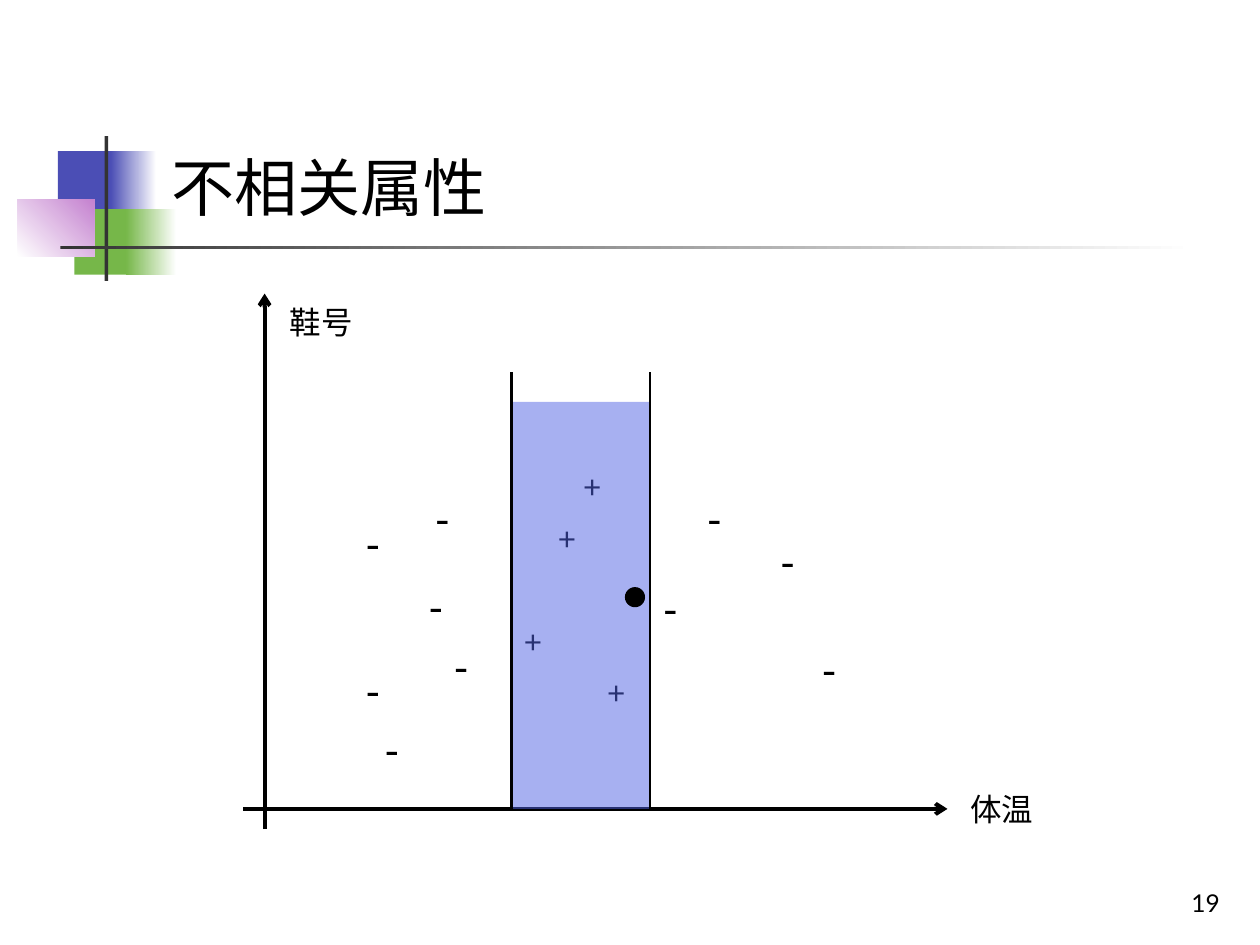
from lxml import etree
from pptx import Presentation
from pptx.dml.color import RGBColor
from pptx.enum import shapes, text
from pptx.oxml import ns
from pptx.util import Inches, Pt

BLACK, WHITE, GREY = "000000", "FFFFFF", "333333"
BLUE, GREEN, PURPLE, BAND = "4B4EB5", "76B749", "C481CF", "5062E4"
AXIS_Y, BAND_LEFT, BAND_RIGHT = 6.42, 4.06, 5.16

POSITIVES = [(4.53, 3.66), (4.72, 5.29), (4.33, 4.07), (4.06, 4.89)]
NEGATIVES = [
    (2.8, 4.07), (5.51, 3.87), (6.42, 5.07), (3.3, 4.57), (3.5, 5.04),
    (6.09, 4.21), (2.8, 5.23), (2.95, 5.7), (3.35, 3.87), (5.16, 4.58),
]
DECORATION = [
    ((0.46, 1.2, 0.48, 0.52), (BLUE,), 0),
    ((0.88, 1.2, 0.36, 0.52), (BLUE, WHITE), 0),
    ((0.59, 1.66, 0.46, 0.52), (GREEN,), 0),
    ((1, 1.66, 0.4, 0.52), (GREEN, WHITE), 0),
    ((0.14, 1.58, 0.61, 0.46), (WHITE, PURPLE), 45),
    ((0.83, 1.08, 0.03, 1.15), (GREY,), 0),
    ((0.48, 1.95, 9, 0.03), (GREY, WHITE), 0),
]


def rgb(value):
    """Turn a hex string into a colour."""
    return RGBColor.from_string(value)


def add_sub(parent, tag, **attributes):
    """Append a DrawingML child element."""
    return etree.SubElement(parent, ns.qn(tag), attributes)


def write(frame, words, size=18, font="Lato", color=BLACK,
          align=text.PP_ALIGN.LEFT, anchor=text.MSO_ANCHOR.TOP):
    """Write one formatted paragraph into a text frame."""
    frame.word_wrap = True
    frame.vertical_anchor = anchor
    paragraph = frame.paragraphs[0]
    paragraph.alignment = align
    run = paragraph.add_run()
    run.text = words
    run.font.size = Pt(size)
    run.font.name = font
    run.font.color.rgb = rgb(color)


def add_label(slide, box, words, grow=True, **style):
    """Add a text box with one label."""
    frame = slide.shapes.add_textbox(*map(Inches, box)).text_frame
    write(frame, words, **style)
    if grow:
        frame.auto_size = text.MSO_AUTO_SIZE.SHAPE_TO_FIT_TEXT


def add_block(slide, box, colors, angle=0, opacity=100,
              kind=shapes.MSO_SHAPE.RECTANGLE):
    """Add a borderless shape with a plain or two-colour gradient fill."""
    block = slide.shapes.add_shape(kind, *map(Inches, box))
    block.shadow.inherit = False
    block.line.fill.background()
    if len(colors) == 1:
        block.fill.solid()
        block.fill.fore_color.rgb = rgb(colors[0])
    else:
        block.fill.gradient()
        block.fill.gradient_angle = angle
        for stop, color in zip(block.fill.gradient_stops, colors):
            stop.color.rgb = rgb(color)
    if opacity < 100:
        color_node = next(block.element.spPr.iter(ns.qn("a:srgbClr")))
        add_sub(color_node, "a:alpha", val=str(opacity * 1000))


def add_line(slide, start, end, width, arrow=False):
    """Add a black straight line, with an arrowhead at its end if asked."""
    line = slide.shapes.add_connector(
        shapes.MSO_CONNECTOR.STRAIGHT, *map(Inches, start + end))
    line.line.color.rgb = rgb(BLACK)
    line.line.width = Pt(width)
    if arrow:
        add_sub(line.line._get_or_add_ln(), "a:tailEnd", type="arrow")
    add_sub(line.element.spPr, "a:effectLst")


def add_title(slide, box, words):
    """Place the title in front of the decoration."""
    title = slide.shapes.title
    title.left, title.top, title.width, title.height = map(Inches, box)
    write(title.text_frame, words, size=36, anchor=text.MSO_ANCHOR.BOTTOM)
    title.element.getparent().append(title.element)


def main():
    """Build the slide on irrelevant attributes."""
    deck = Presentation()
    deck.slide_width, deck.slide_height = Inches(10), Inches(7.5)
    slide = deck.slides.add_slide(deck.slide_layouts[5])

    for box, colors, angle in DECORATION:
        add_block(slide, box, colors, angle)
    add_label(slide, (7.7, 6.83, 2.08, 0.5), "19", grow=False, size=14,
              align=text.PP_ALIGN.RIGHT, anchor=text.MSO_ANCHOR.BOTTOM)
    add_title(slide, (1.26, 0.23, 8.52, 1.6), "不相关属性")

    add_line(slide, (1.93, AXIS_Y), (7.52, AXIS_Y), 2.25, arrow=True)
    add_line(slide, (2.1, 6.58), (2.1, 2.33), 2.25, arrow=True)

    for left, top in POSITIVES:
        add_label(slide, (left, top, 0.39, 0.4), "+")
    for left, top in NEGATIVES:
        add_label(slide, (left, top, 0.39, 0.5), "-", size=24)

    add_block(slide, (BAND_LEFT, 3.19, BAND_RIGHT - BAND_LEFT, AXIS_Y - 3.19),
              (BAND,), opacity=50)
    for edge in (BAND_LEFT, BAND_RIGHT):
        add_line(slide, (edge, AXIS_Y), (edge, 2.95), 1.5)
    add_block(slide, (4.96, 4.66, 0.16, 0.16), (BLACK,),
              kind=shapes.MSO_SHAPE.OVAL)

    for left, top, axis_name in ((7.6, 6.22, "体温"), (2.2, 2.36, "鞋号")):
        add_label(slide, (left, top, 0.79, 0.4), axis_name,
                  font="Noto Sans CJK JP")

    deck.save("out.pptx")


if __name__ == "__main__":
    main()
